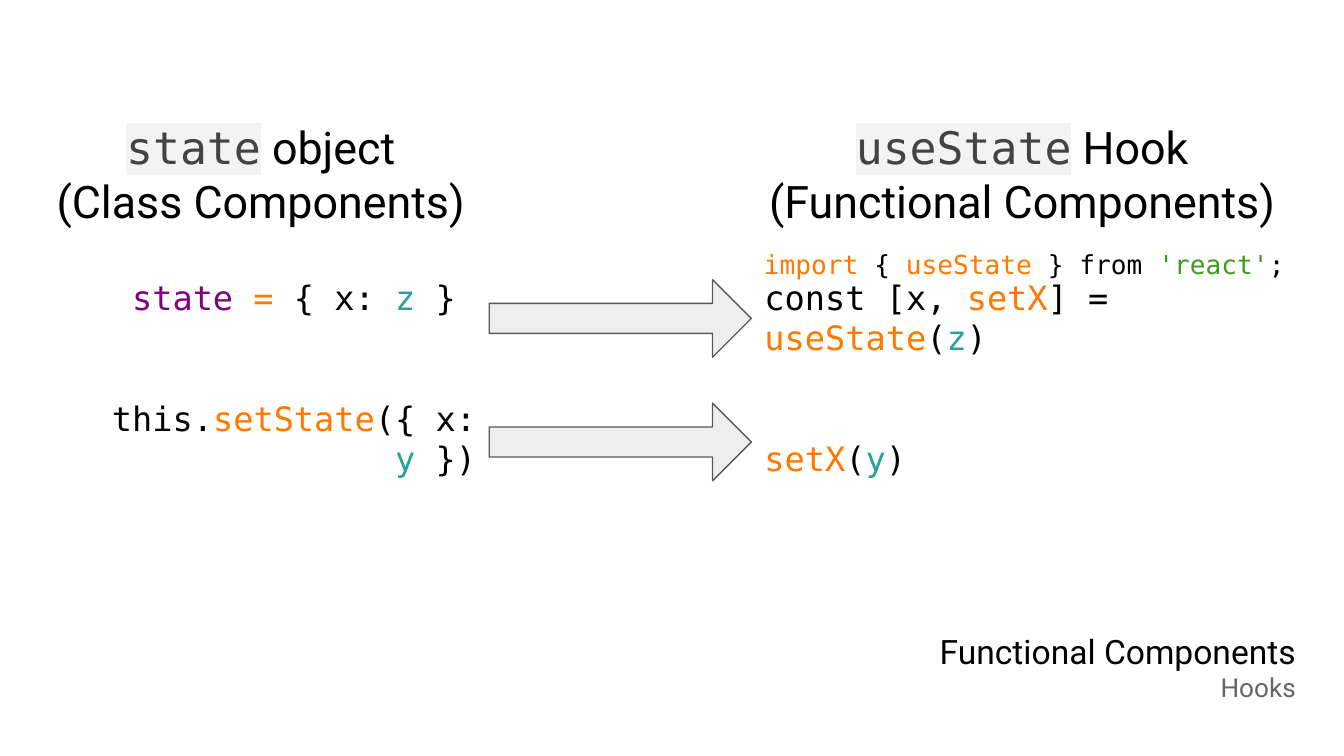
from dataclasses import dataclass

from lxml.etree import SubElement
from pptx import Presentation
from pptx.dml.color import RGBColor
from pptx.enum.shapes import MSO_SHAPE as Preset
from pptx.enum.text import MSO_ANCHOR as Anchor, PP_ALIGN as Align
from pptx.oxml.ns import qn
from pptx.slide import Slide
from pptx.util import Pt


@dataclass(frozen=True)
class Theme:
    """Colours, fonts and type sizes of the slide."""
    black: str = "000000"
    property: str = "800080"
    call: str = "FF7800"
    value: str = "2AA198"
    string: str = "409B1C"
    chip_text: str = "434343"
    chip_fill: str = "F3F3F3"
    muted: str = "666666"
    arrow_fill: str = "EEEEEE"
    arrow_line: str = "595959"
    white: str = "FFFFFF"
    mono: str = "DejaVu Sans Mono"
    sans: str = "Roboto"
    heading: int = 24
    body: int = 18
    small: int = 14


THEME = Theme()


@dataclass(frozen=True)
class Span:
    """A stretch of text in one style."""
    text: str
    color: str = THEME.black
    font: str = THEME.mono
    highlight: str | None = None


@dataclass(frozen=True)
class Line:
    """One paragraph of spans."""
    spans: tuple[Span, ...]
    size: int = THEME.body
    gap_before: float = 0
    spacing: float = 1
    indent: float = 0


@dataclass(frozen=True)
class Block:
    """A text box, placed in points."""
    left: float
    top: float
    width: float
    height: float
    align: Align
    lines: tuple[Line, ...]
    anchor: Anchor = Anchor.MIDDLE


def style_span(run, span: Span, size: int) -> None:
    """Give a run the look of its span."""
    run.text = span.text
    run.font.size = Pt(size)
    run.font.color.rgb = RGBColor.from_string(span.color)
    if span.highlight:
        marker = SubElement(run.font._element, qn("a:highlight"))
        SubElement(marker, qn("a:srgbClr")).set("val", span.highlight)
    run.font.name = span.font


def draw_block(slide: Slide, block: Block) -> None:
    """Draw a text box with its paragraphs."""
    frame = slide.shapes.add_textbox(
        Pt(block.left), Pt(block.top), Pt(block.width), Pt(block.height)).text_frame
    frame.word_wrap = True
    frame.vertical_anchor = block.anchor
    frame.margin_left = frame.margin_right = Pt(INSET)
    frame.margin_top = frame.margin_bottom = Pt(INSET)
    for index, line in enumerate(block.lines):
        paragraph = frame.add_paragraph() if index else frame.paragraphs[0]
        paragraph.alignment = block.align
        paragraph.line_spacing = line.spacing
        paragraph.space_before = Pt(line.gap_before)
        if line.indent:
            paragraph._p.get_or_add_pPr().set("marL", str(Pt(line.indent)))
        for span in line.spans:
            style_span(paragraph.add_run(), span, line.size)


def draw_arrow(slide: Slide, top: float) -> None:
    """Draw an arrow from the class side to the hook side."""
    arrow = slide.shapes.add_shape(
        Preset.RIGHT_ARROW, Pt(ARROW_LEFT), Pt(top), Pt(HOOK_LEFT - ARROW_LEFT), Pt(41.6))
    arrow.adjustments[0] = 0.386
    arrow.adjustments[1] = 0.5
    arrow.shadow.inherit = False
    arrow.fill.solid()
    arrow.fill.fore_color.rgb = RGBColor.from_string(THEME.arrow_fill)
    arrow.line.color.rgb = RGBColor.from_string(THEME.arrow_line)
    arrow.line.width = Pt(0.75)


def heading(left: float, width: float, code: str, noun: str, kind: str) -> Block:
    """Describe a column heading with a highlighted code word."""
    chip = Span(code, THEME.chip_text, highlight=THEME.chip_fill)
    return Block(left, 49.7, width, 86.4, Align.CENTER, (
        Line((chip, Span(f" {noun}", font=THEME.sans)), THEME.heading),
        Line((Span(f"({kind})", font=THEME.sans),), THEME.heading)))


def call(text: str) -> Span:
    """Describe a function name or keyword."""
    return Span(text, THEME.call)


def value(text: str) -> Span:
    """Describe a value in code."""
    return Span(text, THEME.value)


INSET = 7.2
CLASS_LEFT, CLASS_WIDTH = 17.3, 244.8
ARROW_LEFT = CLASS_LEFT + CLASS_WIDTH
HOOK_LEFT = 402.5
CODE_GAP = 43
ARROW_TOPS = (149.8, 216)

CLASS_CODE = Block(CLASS_LEFT, 159.1, CLASS_WIDTH, 86.4, Align.RIGHT, (
    Line((Span("state ", THEME.property), call("="), Span(" { x: "), value("z "), Span("} "))),
    Line((Span("this."), call("setState"), Span("({ x: "), value("y"), Span(" })")),
         gap_before=CODE_GAP)))
HOOK_CODE = Block(HOOK_LEFT, 101.5, 312.5, 201.6, Align.LEFT, (
    Line((Span("const [x, "), call("setX"), Span("] = "), call("useState"),
          Span("("), value("z"), Span(")"))),
    Line((call("setX"), Span("("), value("y"), Span(")")), gap_before=CODE_GAP)))
FOOTER = Block(479.5, 316.8, 221.8, 80.6, Align.RIGHT, (
    Line((Span("Functional Components", font=THEME.sans),)),
    Line((Span("Hooks", THEME.muted, THEME.sans),), THEME.small)))
IMPORT_CODE = Block(391, 117.4, 312.5, 37.4, Align.CENTER, (
    Line(tuple(Span(text, color, highlight=THEME.white) for text, color in (
        ("import", THEME.call), (" { ", THEME.black), ("useState", THEME.call),
        (" } from ", THEME.black), ("'react'", THEME.string), (";", THEME.black))),
        THEME.small, spacing=1.5, indent=3),), Anchor.TOP)


def main() -> None:
    """Build and save the slide."""
    deck = Presentation()
    deck.slide_width, deck.slide_height = Pt(720), Pt(405)
    slide = deck.slides.add_slide(deck.slide_layouts[6])
    for code in (CLASS_CODE, HOOK_CODE):
        draw_block(slide, code)
    for top in ARROW_TOPS:
        draw_arrow(slide, top)
    for block in (
            heading(CLASS_LEFT, CLASS_WIDTH, "state", "object", "Class Components"),
            heading(HOOK_LEFT, 290.2, "useState", "Hook", "Functional Components"),
            FOOTER, IMPORT_CODE):
        draw_block(slide, block)
    deck.save("out.pptx")


main()
